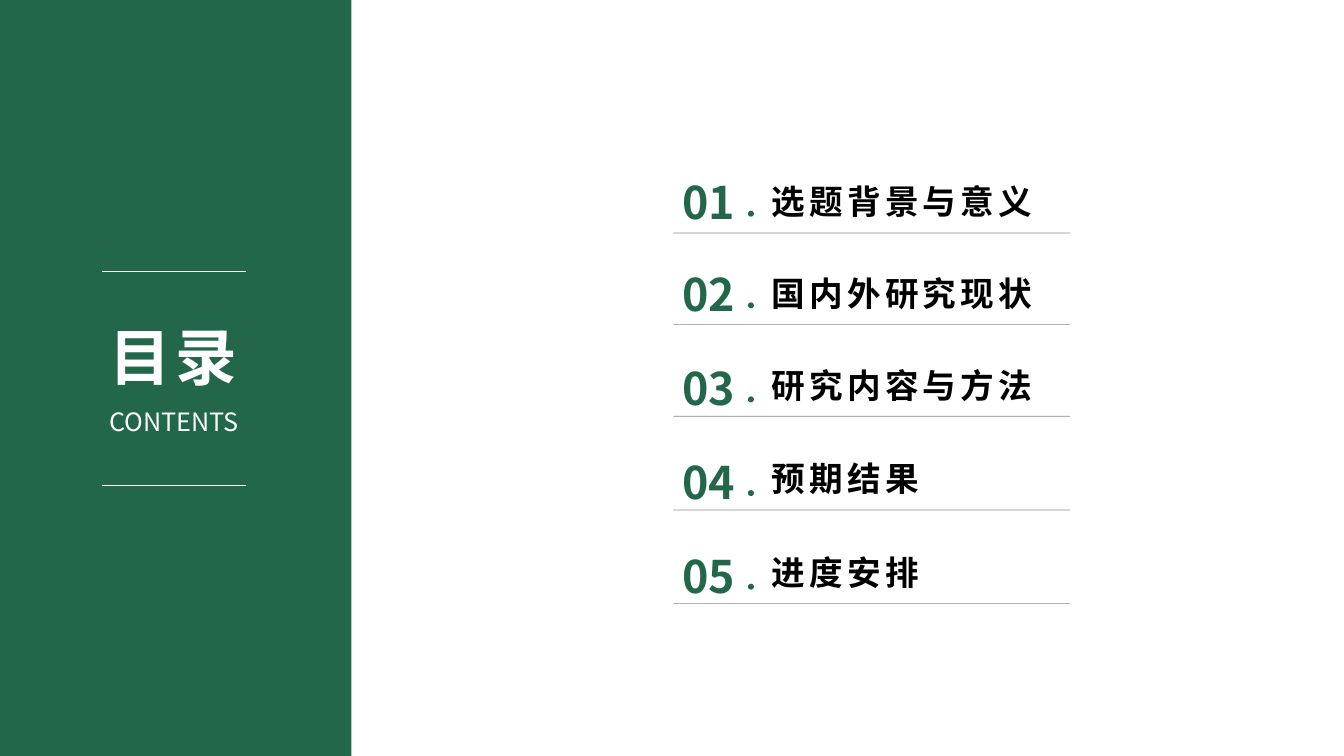
from dataclasses import dataclass

from lxml.etree import SubElement
from pptx import Presentation
from pptx.dml.color import RGBColor
from pptx.enum.shapes import MSO_CONNECTOR, MSO_SHAPE
from pptx.enum.text import MSO_ANCHOR as Anchor, MSO_AUTO_SIZE, PP_ALIGN as Align
from pptx.oxml.ns import qn
from pptx.slide import Slide
from pptx.util import Cm, Pt

FONT = "Noto Sans CJK SC"
COLORS = {"green": "22674A", "white": "FFFFFF", "black": "000000"}


@dataclass
class Entry:
    number: str
    title: str
    title_width: float
    number_top: float
    rule_y: float


ENTRIES = [
    Entry("01", "选题背景与意义", 7.24, 4.29, 5.87),
    Entry("02", "国内外研究现状", 7.24, 6.6, 8.18),
    Entry("03", "研究内容与方法", 7.24, 8.97, 10.49),
    Entry("04", "预期结果", 4.37, 11.33, 12.85),
    Entry("05", "进度安排", 4.37, 13.69, 15.21),
]


def rgb(name: str) -> RGBColor:
    return RGBColor.from_string(COLORS[name])


def add_text(s: Slide, text: str, x: float, y: float, w: float, h: float, *,
             size: float, color: str, bold: bool = False, spacing: float = 0,
             align: Align = Align.LEFT, anchor: Anchor = Anchor.TOP) -> None:
    """Add one unwrapped line; spacing between letters is in points."""
    tf = s.shapes.add_textbox(Cm(x), Cm(y), Cm(w), Cm(h)).text_frame
    tf.word_wrap = False
    tf.auto_size = MSO_AUTO_SIZE.SHAPE_TO_FIT_TEXT
    tf.vertical_anchor = anchor
    p = tf.paragraphs[0]
    p.alignment = align
    r = p.add_run()
    r.text = text
    r.font.name = FONT
    r.font.size = Pt(size)
    r.font.bold = bold
    r.font.color.rgb = rgb(color)
    props = r.font._element
    SubElement(props, qn("a:ea")).set("typeface", FONT)
    if spacing:
        props.set("spc", str(int(spacing * 100)))


def add_green_shape(s: Slide, kind: MSO_SHAPE, x: float, y: float, w: float, h: float) -> None:
    sp = s.shapes.add_shape(kind, Cm(x), Cm(y), Cm(w), Cm(h))
    sp.shadow.inherit = False
    sp.fill.solid()
    sp.fill.fore_color.rgb = rgb("green")
    sp.line.fill.background()


def add_rule(s: Slide, x: float, y: float, w: float, color: str, opacity: int = 100) -> None:
    """Add a thin horizontal line; opacity is in percent."""
    line = s.shapes.add_connector(MSO_CONNECTOR.STRAIGHT, Cm(x), Cm(y), Cm(x + w), Cm(y))
    line.line.width = Pt(0.5)
    line.line.color.rgb = rgb(color)
    sp_pr = line._element.spPr
    if opacity < 100:
        fill = sp_pr.find(".//" + qn("a:srgbClr"))
        SubElement(fill, qn("a:alpha")).set("val", str(opacity * 1000))
    SubElement(sp_pr, qn("a:effectLst"))


def add_side_panel(s: Slide) -> None:
    add_green_shape(s, MSO_SHAPE.RECTANGLE, 0, 0, 8.86, 19.05)
    add_text(s, "目录", 2.44, 7.92, 3.86, 2.13, size=44, color="white",
             bold=True, spacing=3, align=Align.CENTER)
    add_text(s, "CONTENTS", 2.46, 10.11, 3.84, 1.02, size=18, color="white",
             align=Align.CENTER)
    for y in (6.83, 12.22):
        add_rule(s, 2.57, y, 3.63, "white")


def add_entry(s: Slide, entry: Entry) -> None:
    add_text(s, entry.title, 19.2, entry.rule_y - 1.43, entry.title_width, 1.27,
             size=24, color="black", bold=True, spacing=3, anchor=Anchor.MIDDLE)
    add_rule(s, 16.97, entry.rule_y, 10, "black", opacity=45)
    add_text(s, entry.number, 16.94, entry.number_top, 1.93, 1.63,
             size=32, color="green", bold=True)
    add_green_shape(s, MSO_SHAPE.OVAL, 18.85, entry.number_top + 1.02, 0.15, 0.15)


def main() -> None:
    prs = Presentation()
    prs.slide_width, prs.slide_height = Cm(33.87), Cm(19.05)
    s = prs.slides.add_slide(prs.slide_layouts[6])
    add_side_panel(s)
    for entry in ENTRIES:
        add_entry(s, entry)
    prs.save("out.pptx")


if __name__ == "__main__":
    main()
